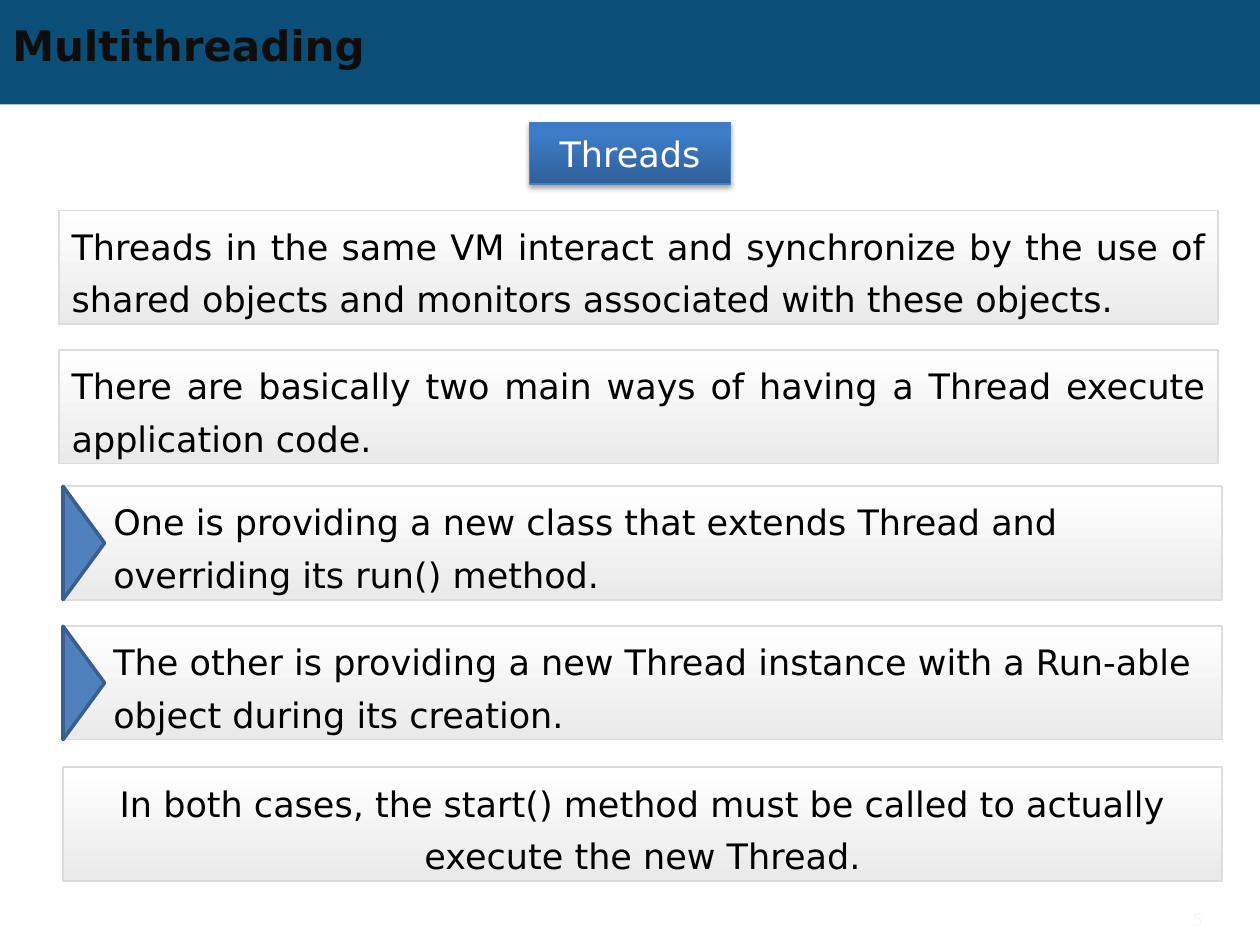
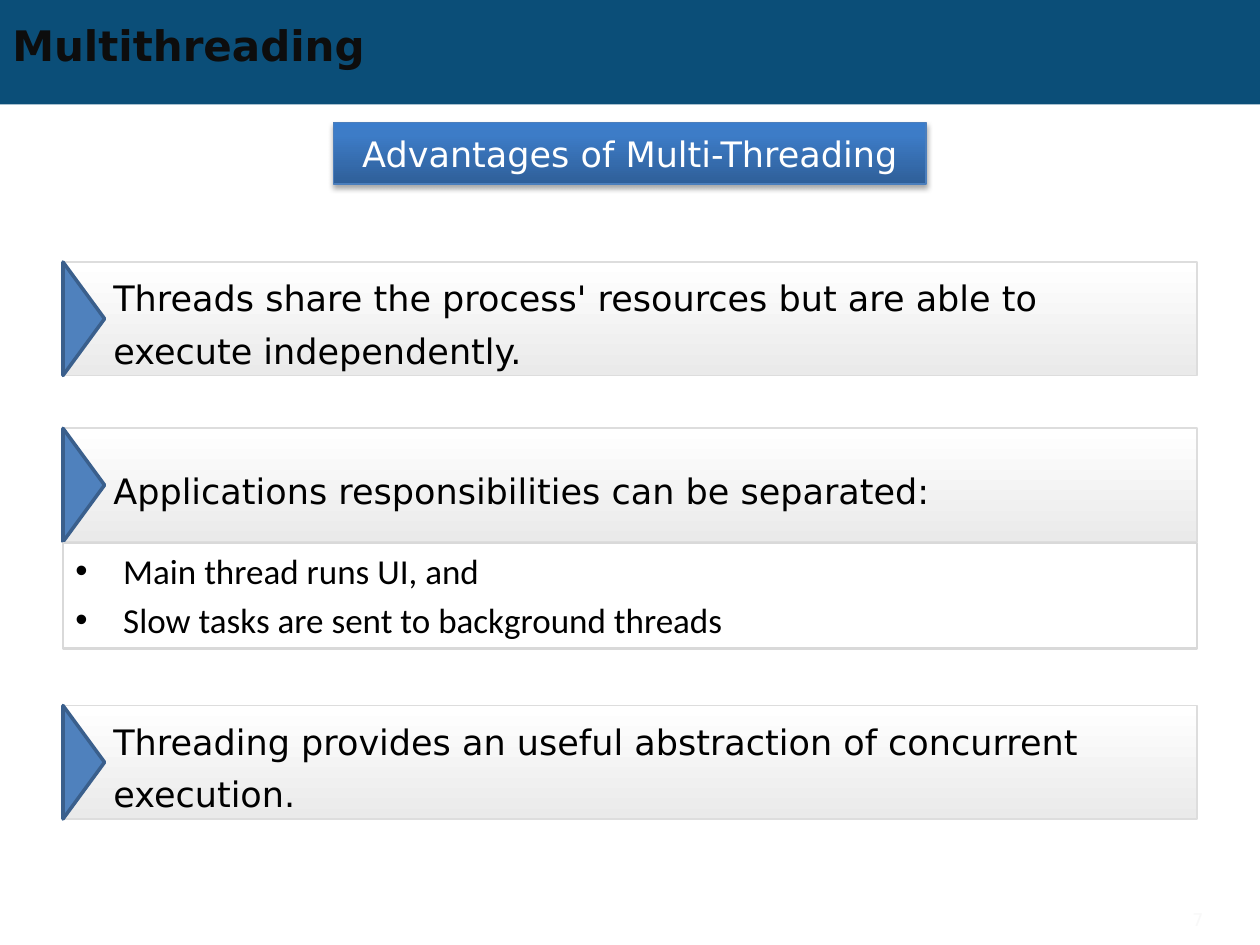
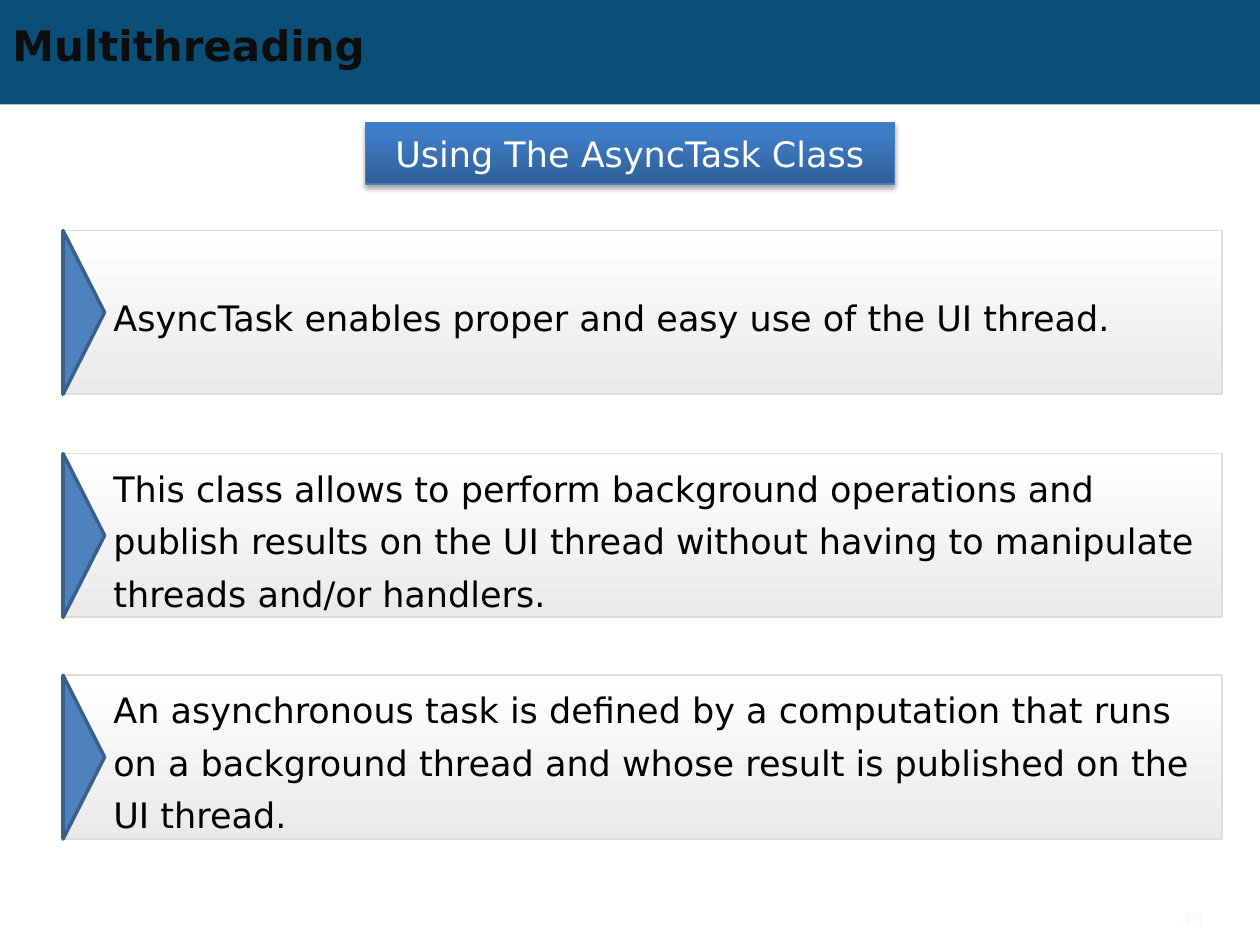
from copy import deepcopy

from lxml import etree
from pptx import Presentation
from pptx import util as u
from pptx.dml.color import RGBColor
from pptx.enum import shapes, text
from pptx.oxml import ns

HEX = {
    "band": "0B4E78", "title": "0D0D0D", "text": "000000", "white": "FFFFFF",
    "grey": "EAEAEA", "edge": "DDDDDD", "frame": "D9D9D9", "page": "F8F8F8",
    "deep": "2F5F99", "blue": "3D7CC7", "light": "3A7CCB", "rim": "4B7EBC",
    "arrow": "4F81BD", "dark": "3A5F8C",
}
RGB = {name: RGBColor.from_string(code) for name, code in HEX.items()}
FONT = "DejaVu Sans"
KIND = shapes.MSO_SHAPE
ALIGN = text.PP_ALIGN
TIP = 0.33  # depth of an arrow

# Each slide: page number, heading, heading width, box width, box height,
# then rows of style, left, top and words
DECK = [
    ("5", "Threads", 1.6, 9.2, 0.9, [
        ("just", 0.47, 1.67, "Threads in the same VM interact and synchronize by the use of "
         "shared objects and monitors associated with these objects."),
        ("just", 0.47, 2.78, "There are basically two main ways of having a Thread execute "
         "application code."),
        ("arrow", 0.5, 3.86, "One is providing a new class that extends Thread and "
         "overriding its run() method."),
        ("arrow", 0.5, 4.97, "The other is providing a new Thread instance with a Run-able "
         "object during its creation."),
        ("mid", 0.5, 6.09, "In both cases, the start() method must be called to actually "
         "execute the new Thread."),
    ]),
    ("7", "Advantages of Multi-Threading", 4.7, 9, 0.9, [
        ("arrow", 0.5, 2.08, "Threads share the process' resources but are able to "
         "execute independently."),
        ("arrow", 0.5, 3.4, "Applications responsibilities can be separated:"),
        ("list", 0.5, 4.31, ["Main thread runs UI, and",
                             "Slow tasks are sent to background threads"]),
        ("arrow", 0.5, 5.6, "Threading provides an useful abstraction of concurrent "
         "execution."),
    ]),
    ("48", "Using The AsyncTask Class", 4.2, 9.2, 1.3, [
        ("arrow", 0.5, 1.83, "AsyncTask enables proper and easy use of the UI thread."),
        ("arrow", 0.5, 3.6, "This class allows to perform background operations and "
         "publish results on the UI thread without having to manipulate threads "
         "and/or handlers."),
        ("arrow", 0.5, 5.36, "An asynchronous task is defined by a computation that runs "
         "on a background thread and whose result is published on the UI thread."),
    ]),
]
SIDES = {"just": ALIGN.JUSTIFY, "mid": ALIGN.CENTER}


def draw(kind, left, top, wide, high, stops, angle=0, line=None, weight=1):
    """Add a shape; stops is a list of (position, colour), one for a plain fill."""
    item = slide.shapes.add_shape(kind, *map(u.Inches, (left, top, wide, high)))
    item.shadow.inherit = False
    if len(stops) > 1:
        item.fill.gradient()
        item.fill.gradient_angle = angle
        marks = item._element.spPr.find(".//" + ns.qn("a:gsLst"))
        for _ in stops[2:]:
            marks.append(deepcopy(marks[0]))
        for mark, (place, hue) in zip(item.fill.gradient_stops, stops):
            mark.position = place
            mark.color.rgb = RGB[hue]
    elif stops:
        item.fill.solid()
        item.fill.fore_color.rgb = RGB[stops[0][1]]
    else:
        item.fill.background()
    if line:
        item.line.color.rgb = RGB[line]
        item.line.width = u.Pt(weight)
    else:
        item.line.fill.background()
    return item


def write(item, words, hue, size=20, side=ALIGN.LEFT, font=FONT, bold=False):
    """Put one paragraph per string into a shape, centred in its height."""
    frame = item.text_frame
    frame.word_wrap = True
    frame.vertical_anchor = text.MSO_ANCHOR.MIDDLE
    for n, part in enumerate(words):
        para = frame.paragraphs[0] if n == 0 else frame.add_paragraph()
        para.alignment = side
        run = para.add_run()
        run.text = part
        run.font.name, run.font.size, run.font.bold = font, u.Pt(size), bold
        run.font.color.rgb = RGB[hue]
    return frame


deck = Presentation()
deck.slide_width, deck.slide_height = u.Inches(10), u.Inches(7.5)

for page, head, span, wide, high, rows in DECK:
    slide = deck.slides.add_slide(deck.slide_layouts[6])

    # Band, title and page number
    draw(KIND.RECTANGLE, 0, 0, 10, 0.83, [(0, "band")])
    title = slide.shapes.add_textbox(0, u.Inches(0.14), u.Inches(9), u.Inches(0.43))
    write(title, ["Multithreading"], "title", 24, bold=True)
    foot = slide.shapes.add_textbox(*map(u.Inches, (8.65, 7.15, 1, 0.3)))
    write(foot, [page], "page", 10, ALIGN.RIGHT)

    # Heading with a soft shadow
    label = draw(KIND.RECTANGLE, (10 - span) / 2, 0.97, span, 0.49,
                 [(0, "deep"), (0.8, "blue"), (1, "light")], 90, "rim", 0.75)
    write(label, [head], "white", side=ALIGN.CENTER)
    glow = etree.SubElement(label._element.spPr.find(ns.qn("a:effectLst")),
                            ns.qn("a:outerShdw"), blurRad=str(u.Pt(3.1)),
                            dist=str(u.Pt(1.8)), dir="5400000", rotWithShape="0")
    tint = etree.SubElement(glow, ns.qn("a:srgbClr"), val=HEX["text"])
    etree.SubElement(tint, ns.qn("a:alpha"), val="35000")

    for style, left, top, words in rows:
        # Bulleted list in a plain frame
        if style == "list":
            box = draw(KIND.RECTANGLE, left, top, wide, 0.84, [], line="frame", weight=1.5)
            frame = write(box, words, "text", font="Calibri")
            frame.vertical_anchor = text.MSO_ANCHOR.TOP
            for n, para in enumerate(frame.paragraphs):
                props = para._p.get_or_add_pPr()
                props.set("marL", str(u.Inches(0.38)))
                props.set("indent", str(u.Inches(-0.38)))
                etree.SubElement(props, ns.qn("a:buFont"), typeface="Arial")
                etree.SubElement(props, ns.qn("a:buChar"), char="•")
                if n:
                    para.space_before = u.Pt(4)
            continue

        # Shaded box
        box = draw(KIND.RECTANGLE, left, top, wide, high,
                   [(0, "white"), (1, "grey")], 270, "edge")
        frame = write(box, [words], "text", side=SIDES.get(style, ALIGN.LEFT))
        frame.paragraphs[0].line_spacing = u.Pt(30)

        # Arrow on the left edge, a triangle turned to the right
        if style == "arrow":
            frame.margin_left = u.Inches(0.4)
            frame.margin_top = frame.margin_bottom = 0
            tip = draw(KIND.ISOSCELES_TRIANGLE, left + (TIP - high) / 2,
                       top + (high - TIP) / 2, high, TIP, [(0, "arrow")],
                       line="dark", weight=2)
            tip.rotation = 90

deck.save("out.pptx")
